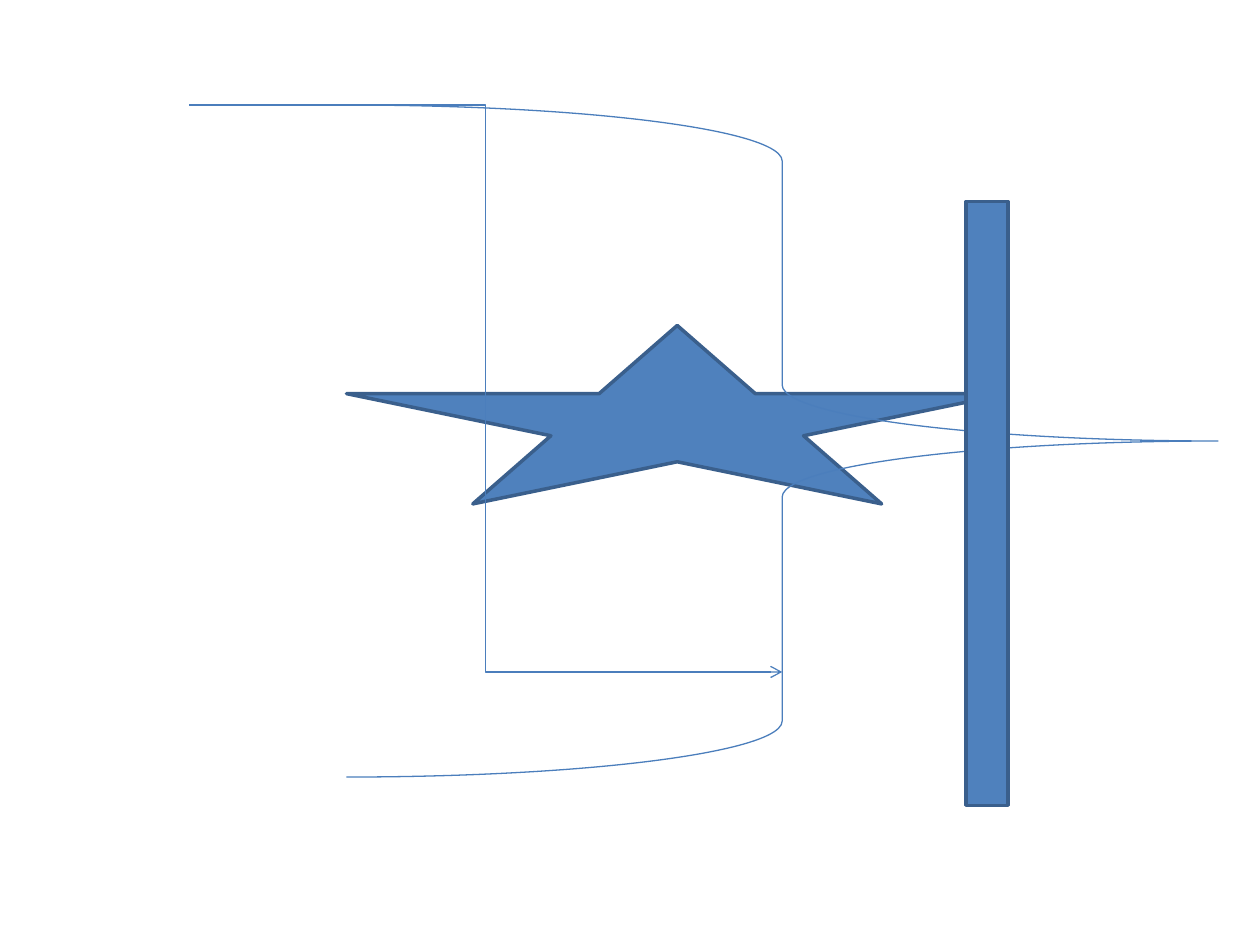
"""Build a slide with a star, a right brace, a bar and an elbow arrow."""
from lxml import etree
from pptx import Presentation
from pptx.dml.color import RGBColor
from pptx.enum import shapes
from pptx.oxml import ns
from pptx.util import Inches, Pt

COLORS = {"fill": "4F81BD", "outline": "3A5F8C", "thin": "4B7EBC"}

prs = Presentation()
prs.slide_width, prs.slide_height = Inches(10), Inches(7.5)
unit = prs.slide_width / 120
s = prs.slides.add_slide(prs.slide_layouts[6])


def grid(*cells):
    return [round(cell * unit) for cell in cells]


def stroke(line, color, width):
    line.color.rgb = RGBColor.from_string(COLORS[color])
    line.width = Pt(width)


kinds = shapes.MSO_SHAPE
for kind, box, filled in (
    (kinds.STAR_5_POINT, (33, 31, 63, 17), True),
    (kinds.RIGHT_BRACE, (33, 10, 83, 64), False),
    (kinds.RECTANGLE, (92, 19.2, 4, 57.5), True),
):
    sp = s.shapes.add_shape(kind, *grid(*box))
    sp.shadow.inherit = False
    if filled:
        sp.fill.solid()
        sp.fill.fore_color.rgb = RGBColor.from_string(COLORS["fill"])
        stroke(sp.line, "outline", 2)
    else:
        sp.fill.background()
        stroke(sp.line, "thin", 0.75)

arrow = s.shapes.add_connector(shapes.MSO_CONNECTOR.ELBOW, *grid(18, 10, 74.5, 64))
stroke(arrow.line, "thin", 0.75)
spPr = arrow._element.spPr
etree.SubElement(spPr.find(ns.qn("a:ln")), ns.qn("a:tailEnd"), type="arrow")
etree.SubElement(spPr, ns.qn("a:effectLst"))

prs.save("out.pptx")
